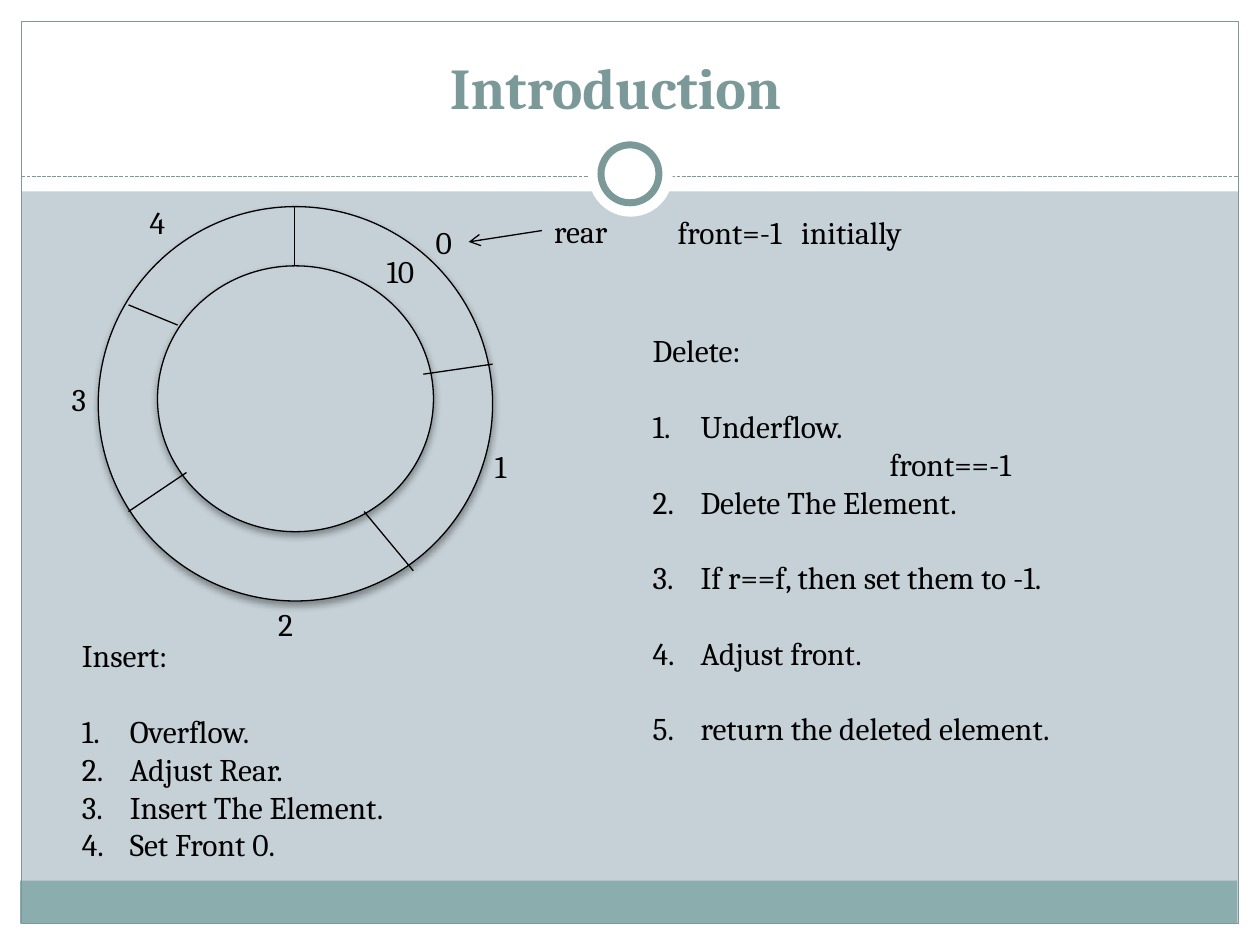
"""Build a slide that explains insertion and deletion in a circular queue."""
from dataclasses import dataclass
from typing import Optional

from lxml import etree
from pptx import Presentation
from pptx.dml.color import RGBColor
from pptx.enum.dml import MSO_LINE
from pptx.enum.shapes import MSO_CONNECTOR, MSO_SHAPE
from pptx.enum.text import MSO_ANCHOR, MSO_AUTO_SIZE, PP_ALIGN
from pptx.oxml.ns import qn
from pptx.util import Inches, Pt

RECTANGLE, OVAL = MSO_SHAPE.RECTANGLE, MSO_SHAPE.OVAL
STRAIGHT = MSO_CONNECTOR.STRAIGHT
DASH = MSO_LINE.SQUARE_DOT
CENTER = PP_ALIGN.CENTER
TOP, BOTTOM = MSO_ANCHOR.TOP, MSO_ANCHOR.BOTTOM
FIXED_SIZE = MSO_AUTO_SIZE.NONE
TWO_CONTENT_LAYOUT = 3


@dataclass(frozen=True)
class Theme:
    """Colours, font and sizes of the slide."""
    background: str = "C5D1D7"
    paper: str = "FFFFFF"
    band: str = "8CADAE"
    accent: str = "7C999A"
    ink: str = "000000"
    font: str = "Cambria"
    title_size: float = 33
    text_size: float = 18
    blank_line: float = 21.6
    thin: float = 0.75
    thick: float = 4


@dataclass(frozen=True)
class Panel:
    """A filled or outlined preset shape."""
    box: tuple
    kind: int = RECTANGLE
    fill: Optional[str] = None
    line: Optional[str] = None
    width: float = 0.75
    shadow: bool = False


@dataclass(frozen=True)
class Segment:
    """A straight line between two points."""
    start: tuple
    end: tuple
    color: str = "000000"
    dashed: bool = False
    arrow: bool = False


@dataclass(frozen=True)
class Label:
    """A single line of text, with an optional tab stop."""
    text: str
    box: tuple
    tab: Optional[float] = None


@dataclass(frozen=True)
class Step:
    """A paragraph of an algorithm list."""
    text: str
    numbered: bool = True
    gap: bool = False
    indent: float = 0


THEME = Theme()
FRAME = [
    Panel((0, 7.33, 10, 0.17), fill=THEME.paper),
    Panel((0, 0, 10, 1.52), fill=THEME.paper),
    Panel((0, 0, 0.17, 7.5), fill=THEME.paper),
    Panel((9.83, 0, 0.17, 7.5), fill=THEME.paper),
    Panel((0.16, 6.99, 9.66, 0.34), fill=THEME.band),
    Panel((0.17, 0.17, 9.66, 7.16), line=THEME.accent),
]
TITLE_RULE = Segment((0.17, 1.4), (9.83, 1.4), THEME.accent, dashed=True)
CIRCLES = [
    Panel((4.67, 1.05, 0.67, 0.67), OVAL, THEME.paper),
    Panel((4.77, 1.15, 0.46, 0.46), OVAL, THEME.paper, THEME.accent, THEME.thick),
    Panel((0.78, 1.64, 3.13, 3.13), OVAL, THEME.background, THEME.ink, shadow=True),
    Panel((1.25, 2.11, 2.19, 2.11), OVAL, THEME.background, THEME.ink, shadow=True),
]
QUEUE_LINES = [
    Segment((2.34, 1.64), (2.34, 2.11)),
    Segment((3.91, 2.89), (3.36, 2.97)),
    Segment((3.28, 4.53), (2.89, 4.06)),
    Segment((1.48, 3.75), (1.02, 4.06)),
    Segment((1.41, 2.58), (1.02, 2.42)),
    Segment((4.3, 1.83), (3.72, 1.92), arrow=True),
]
LABELS = [
    Label("10", (2.97, 1.95, 0.46, 0.4)),
    Label("0", (3.36, 1.72, 0.36, 0.4)),
    Label("1", (3.83, 3.5, 0.31, 0.4)),
    Label("2", (2.11, 4.75, 0.34, 0.4)),
    Label("3", (0.47, 2.97, 0.34, 0.4)),
    Label("4", (1.09, 1.56, 0.34, 0.4)),
    Label("rear", (4.3, 1.63, 0.66, 0.4)),
    Label("front=-1\tinitially", (5.28, 1.64, 2.17, 0.4), tab=0.98),
]
INSERT_STEPS = [
    Step("Insert:", numbered=False),
    Step("Overflow.", gap=True),
    Step("Adjust Rear."),
    Step("Insert The Element."),
    Step("Set Front 0."),
]
DELETE_STEPS = [
    Step("Delete:", numbered=False),
    Step("Underflow.", gap=True),
    Step("front==-1", numbered=False, indent=1.88),
    Step("Delete The Element."),
    Step("If r==f, then set them to -1.", gap=True),
    Step("Adjust front.", gap=True),
    Step("return the deleted element.", gap=True),
]


def add_run(paragraph, text: str, size: float, color: str, bold: bool = False) -> None:
    """Add one formatted run to a paragraph."""
    run = paragraph.add_run()
    run.text = text
    run.font.name, run.font.size, run.font.bold = THEME.font, Pt(size), bold
    run.font.color.rgb = RGBColor.from_string(color)


def draw_panel(slide, panel: Panel) -> None:
    """Draw a preset shape."""
    shape = slide.shapes.add_shape(panel.kind, *map(Inches, panel.box))
    shape.shadow.inherit = False
    if panel.fill:
        shape.fill.solid()
        shape.fill.fore_color.rgb = RGBColor.from_string(panel.fill)
    else:
        shape.fill.background()
    if panel.line:
        shape.line.color.rgb = RGBColor.from_string(panel.line)
        shape.line.width = Pt(panel.width)
    else:
        shape.line.fill.background()
    if panel.shadow:
        effects = shape._element.spPr.find(qn("a:effectLst"))
        outer = etree.SubElement(effects, qn("a:outerShdw"), blurRad=str(Pt(4)),
                                 dist=str(Pt(2)), dir="5400000", rotWithShape="0")
        color = etree.SubElement(outer, qn("a:srgbClr"), val=THEME.ink)
        etree.SubElement(color, qn("a:alpha"), val="35000")


def draw_segment(slide, segment: Segment) -> None:
    """Draw a line or an arrow."""
    points = map(Inches, segment.start + segment.end)
    connector = slide.shapes.add_connector(STRAIGHT, *points)
    connector.line.color.rgb = RGBColor.from_string(segment.color)
    connector.line.width = Pt(THEME.thin)
    if segment.dashed:
        connector.line.dash_style = DASH
    if segment.arrow:
        etree.SubElement(connector.line._get_or_add_ln(), qn("a:tailEnd"), type="arrow")
    etree.SubElement(connector._element.spPr, qn("a:effectLst"))


def draw_label(slide, label: Label) -> None:
    """Draw a text label."""
    frame = slide.shapes.add_textbox(*map(Inches, label.box)).text_frame
    frame.word_wrap = label.tab is not None
    paragraph = frame.paragraphs[0]
    if label.tab is not None:
        tabs = etree.SubElement(paragraph._p.get_or_add_pPr(), qn("a:tabLst"))
        etree.SubElement(tabs, qn("a:tab"), pos=str(Inches(label.tab)), algn="l")
    add_run(paragraph, label.text, THEME.text_size, THEME.ink)


def place_placeholder(slide, placeholder, box: tuple, anchor: int):
    """Move a placeholder to the front and return its text frame."""
    placeholder.left, placeholder.top, placeholder.width, placeholder.height = map(Inches, box)
    slide.shapes._spTree.append(placeholder._element)
    frame = placeholder.text_frame
    frame.auto_size, frame.word_wrap, frame.vertical_anchor = FIXED_SIZE, True, anchor
    return frame


def fill_steps(slide, placeholder, box: tuple, steps: list[Step]) -> None:
    """Write an algorithm as a numbered list."""
    frame = place_placeholder(slide, placeholder, box, TOP)
    for index, step in enumerate(steps):
        paragraph = frame.add_paragraph() if index else frame.paragraphs[0]
        paragraph.level = 1 if step.indent else 0
        properties = paragraph._p.get_or_add_pPr()
        hanging = 0.38 if step.numbered else 0
        properties.set("marL", str(Inches(step.indent + hanging)))
        properties.set("indent", str(Inches(-hanging)))
        if step.numbered:
            etree.SubElement(properties, qn("a:buFont"), typeface="+mj-lt")
            etree.SubElement(properties, qn("a:buAutoNum"), type="arabicPeriod")
        else:
            etree.SubElement(properties, qn("a:buNone"))
        paragraph.space_before = Pt(THEME.blank_line if step.gap else 0)
        add_run(paragraph, step.text, THEME.text_size, THEME.ink)


def main() -> None:
    """Build and save the presentation."""
    presentation = Presentation()
    presentation.slide_width, presentation.slide_height = Inches(10), Inches(7.5)
    slide = presentation.slides.add_slide(presentation.slide_layouts[TWO_CONTENT_LAYOUT])
    slide.background.fill.solid()
    slide.background.fill.fore_color.rgb = RGBColor.from_string(THEME.background)
    for panel in FRAME:
        draw_panel(slide, panel)
    draw_segment(slide, TITLE_RULE)
    for circle in CIRCLES:
        draw_panel(slide, circle)
    title = place_placeholder(slide, slide.shapes.title, (1.8, 0.31, 6.17, 0.7), BOTTOM)
    title.paragraphs[0].alignment = CENTER
    add_run(title.paragraphs[0], "Introduction", THEME.title_size, THEME.accent, bold=True)
    for segment in QUEUE_LINES:
        draw_segment(slide, segment)
    for label in LABELS:
        draw_label(slide, label)
    insert_body, delete_body = (slide.placeholders[index] for index in (1, 2))
    fill_steps(slide, insert_body, (0.55, 5, 2.81, 1.92), INSERT_STEPS)
    fill_steps(slide, delete_body, (5.08, 2.58, 3.62, 3.43), DELETE_STEPS)
    presentation.save("out.pptx")


if __name__ == "__main__":
    main()
